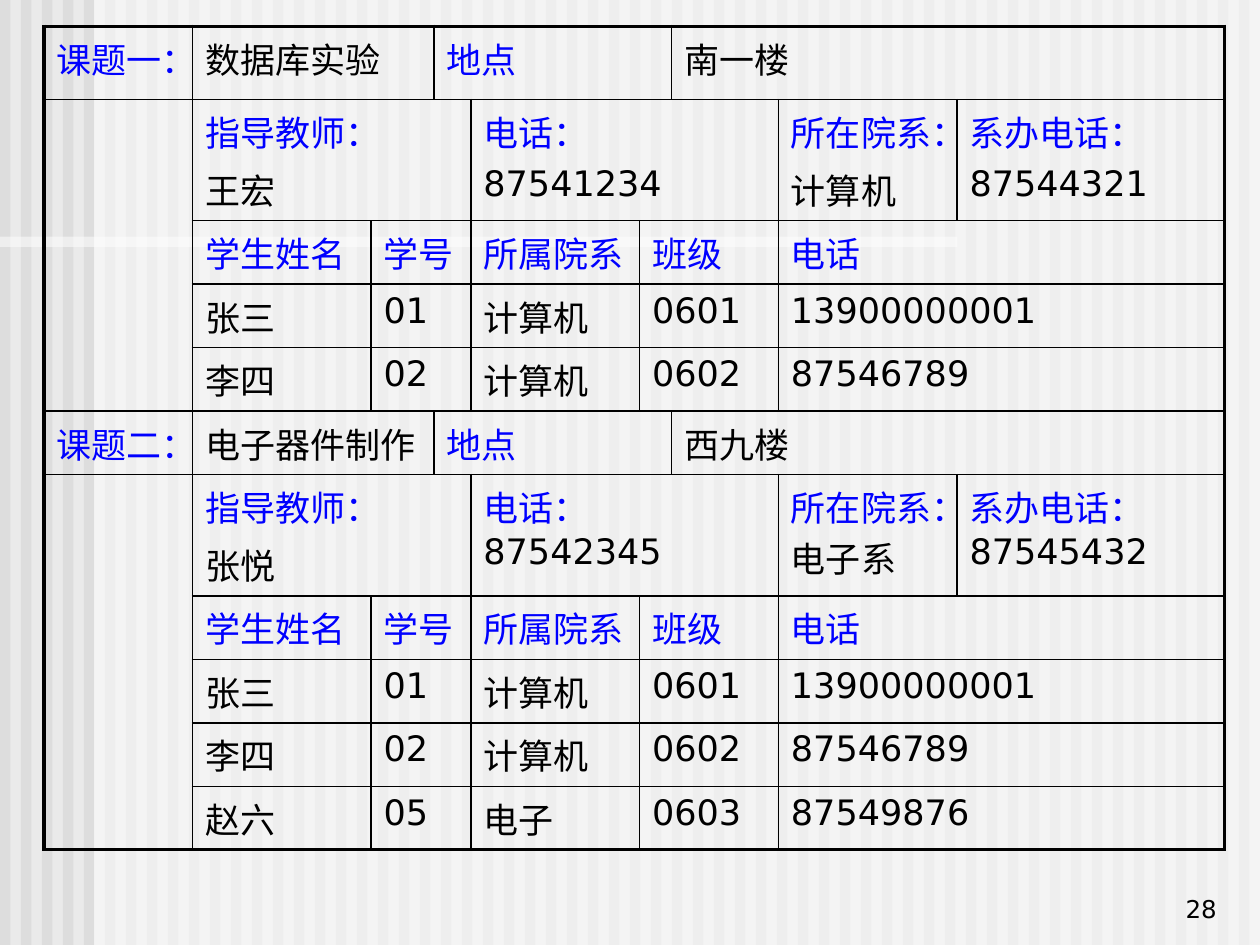
"""Build the slide listing two lab topics with their teachers and students."""
from lxml import etree
from pptx import Presentation
from pptx import util as u
from pptx.dml.color import RGBColor
from pptx.enum import shapes, text
from pptx.oxml.ns import qn

BLUE = RGBColor(0x00, 0x00, 0xFF)
BLACK = RGBColor(0x00, 0x00, 0x00)
WHITE = RGBColor(0xFF, 0xFF, 0xFF)
STRIPE = RGBColor(0xDD, 0xDD, 0xDD)
BACKDROP = RGBColor(0xEA, 0xEA, 0xEA)
FONT = "DejaVu Sans"
PLAIN_STYLE = "{2D5ABB26-0587-4C30-8999-92F81FD0307C}"

COLS = [2.99, 3.6, 1.27, 0.74, 3.4, 0.65, 2.15, 3.6, 5.4]
FIRST_ROW, TEACHER_ROW, ROW = 1.48, 2.44, 1.28
TOPIC_SPANS = [(0, 1), (1, 2), (3, 3), (6, 3)]
TEACHER_SPANS = [(1, 3), (4, 3), (7, 1), (8, 1)]
STUDENT_SPANS = [(1, 1), (2, 2), (4, 1), (5, 2), (7, 2)]
TEACHER_LABELS = ["指导教师：", "电话：", "所在院系：", "系办电话："]
STUDENT_LABELS = ["学生姓名", "学号", "所属院系", "班级", "电话"]
STUDENTS = [
    ["张三", "01", "计算机", "0601", "13900000001"],
    ["李四", "02", "计算机", "0602", "87546789"],
]
TOPICS = [
    {"title": ["课题一：", "数据库实验", "地点", "南一楼"],
     "teacher": ["王宏", "87541234", "计算机", "87544321"],
     "stacked": 4,
     "students": STUDENTS},
    {"title": ["课题二：", "电子器件制作", "地点", "西九楼"],
     "teacher": ["张悦", "87542345", "电子系", "87545432"],
     "stacked": 1,
     "students": STUDENTS + [["赵六", "05", "电子", "0603", "87549876"]]},
]


def write(tf, paras, size=20, align=text.PP_ALIGN.LEFT, before=4):
    """Fill a text frame with paragraphs of (text, colour) runs."""
    for i, runs in enumerate(paras):
        p = tf.add_paragraph() if i else tf.paragraphs[0]
        p.alignment = align
        p.space_before = u.Pt(before)
        for words, color in runs:
            r = p.add_run()
            r.text = words
            r.font.name = FONT
            r.font.size = u.Pt(size)
            r.font.color.rgb = color


def add_bar(group, box, color, alpha=None):
    """Add a borderless rectangle, translucent when alpha is given."""
    sp = group.shapes.add_shape(shapes.MSO_SHAPE.RECTANGLE, *map(u.Cm, box))
    sp.shadow.inherit = False
    sp.line.fill.background()
    sp.fill.solid()
    sp.fill.fore_color.rgb = color
    if alpha:
        clr = sp.fill._xPr.find(qn("a:solidFill"))[0]
        etree.SubElement(clr, qn("a:alpha"), val=str(alpha * 1000))


def add_backdrop(s):
    """Draw the striped background with its pale overlays."""
    s.background.fill.solid()
    s.background.fill.fore_color.rgb = BACKDROP
    group = s.shapes.add_group_shape()
    pitch = 25.4 / 60
    for i in range(60):
        add_bar(group, (i * pitch, 0, pitch / 2, 19.05), STRIPE)
    add_bar(group, (1.9, 0, 23.5, 19.05), WHITE, 50)
    add_bar(group, (0, 4.77, 19.3, 0.21), WHITE, 50)


def set_borders(cell, widths):
    """Give a cell black left, right, top and bottom borders."""
    pr = cell._tc.get_or_add_tcPr()
    for i, (side, width) in enumerate(zip("LRTB", widths)):
        ln = etree.Element(qn("a:ln" + side), w=str(u.Pt(width)))
        fill = etree.SubElement(ln, qn("a:solidFill"))
        etree.SubElement(fill, qn("a:srgbClr"), val=str(BLACK))
        pr.insert(i, ln)


def put_cell(tbl, row, col, paras, width=1, height=1):
    """Merge, write and outline one cell, thicker at the table's edge."""
    cell = tbl.cell(row, col)
    bottom, right = row + height - 1, col + width - 1
    if width > 1 or height > 1:
        cell.merge(tbl.cell(bottom, right))
    write(cell.text_frame, paras)
    cell.fill.background()
    edges = (col == 0, right == len(tbl.columns) - 1,
             row == 0, bottom == len(tbl.rows) - 1)
    set_borders(cell, [2.25 if edge else 1 for edge in edges])


def put_row(tbl, row, spans, contents):
    """Write one row of cells laid out by (column, width) spans."""
    for (col, width), paras in zip(spans, contents):
        put_cell(tbl, row, col, paras, width)


def put_topic(tbl, row, topic):
    """Write one topic block and return the row after it."""
    students = topic["students"]
    put_row(tbl, row, TOPIC_SPANS,
            [[[(t, BLACK if i % 2 else BLUE)]]
             for i, t in enumerate(topic["title"])])
    put_cell(tbl, row + 1, 0, [], height=len(students) + 2)
    teacher = []
    for i, (label, value) in enumerate(zip(TEACHER_LABELS, topic["teacher"])):
        runs = [(label, BLUE), (value, BLACK)]
        teacher.append([[r] for r in runs] if i < topic["stacked"] else [runs])
    put_row(tbl, row + 1, TEACHER_SPANS, teacher)
    for i, values in enumerate([STUDENT_LABELS] + students):
        color = BLACK if i else BLUE
        put_row(tbl, row + 2 + i, STUDENT_SPANS, [[[(v, color)]] for v in values])
    return row + 3 + len(students)


def row_heights():
    """Return the height of every table row in centimetres."""
    heights = []
    for topic in TOPICS:
        heights += [ROW, TEACHER_ROW] + [ROW] * (1 + len(topic["students"]))
    return [FIRST_ROW] + heights[1:]


def add_topic_table(s):
    """Add the table and fill it topic by topic."""
    heights = row_heights()
    frame = s.shapes.add_table(len(heights), len(COLS), u.Cm(0.89), u.Cm(0.53),
                               u.Cm(sum(COLS)), u.Cm(sum(heights)))
    tbl = frame.table
    tbl.first_row = tbl.horz_banding = False
    tbl._tbl.tblPr.find(qn("a:tableStyleId")).text = PLAIN_STYLE
    for column, width in zip(tbl.columns, COLS):
        column.width = u.Cm(width)
    for line, height in zip(tbl.rows, heights):
        line.height = u.Cm(height)
    row = 0
    for topic in TOPICS:
        row = put_topic(tbl, row, topic)


def add_page_number(s, number):
    """Add the page number at the lower right."""
    box = s.shapes.add_textbox(u.Cm(19.5), u.Cm(17.48), u.Cm(5.28), u.Cm(1.27))
    tf = box.text_frame
    tf.word_wrap = True
    tf.vertical_anchor = text.MSO_ANCHOR.BOTTOM
    write(tf, [[(number, BLACK)]], size=14, align=text.PP_ALIGN.RIGHT, before=0)


def main():
    """Build and save the slide."""
    prs = Presentation()
    prs.slide_width, prs.slide_height = u.Cm(25.4), u.Cm(19.05)
    s = prs.slides.add_slide(prs.slide_layouts[6])
    add_backdrop(s)
    add_page_number(s, "28")
    add_topic_table(s)
    prs.save("out.pptx")


main()
